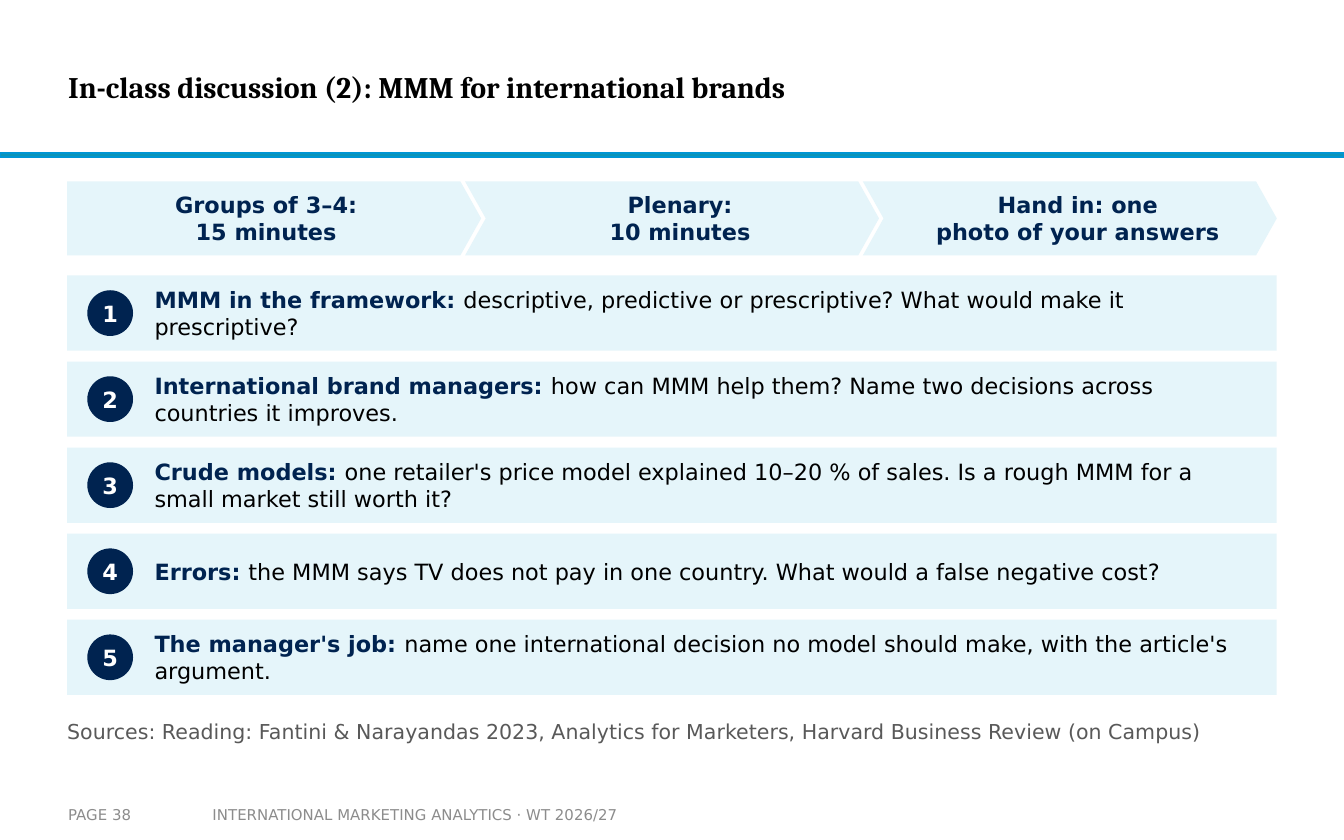
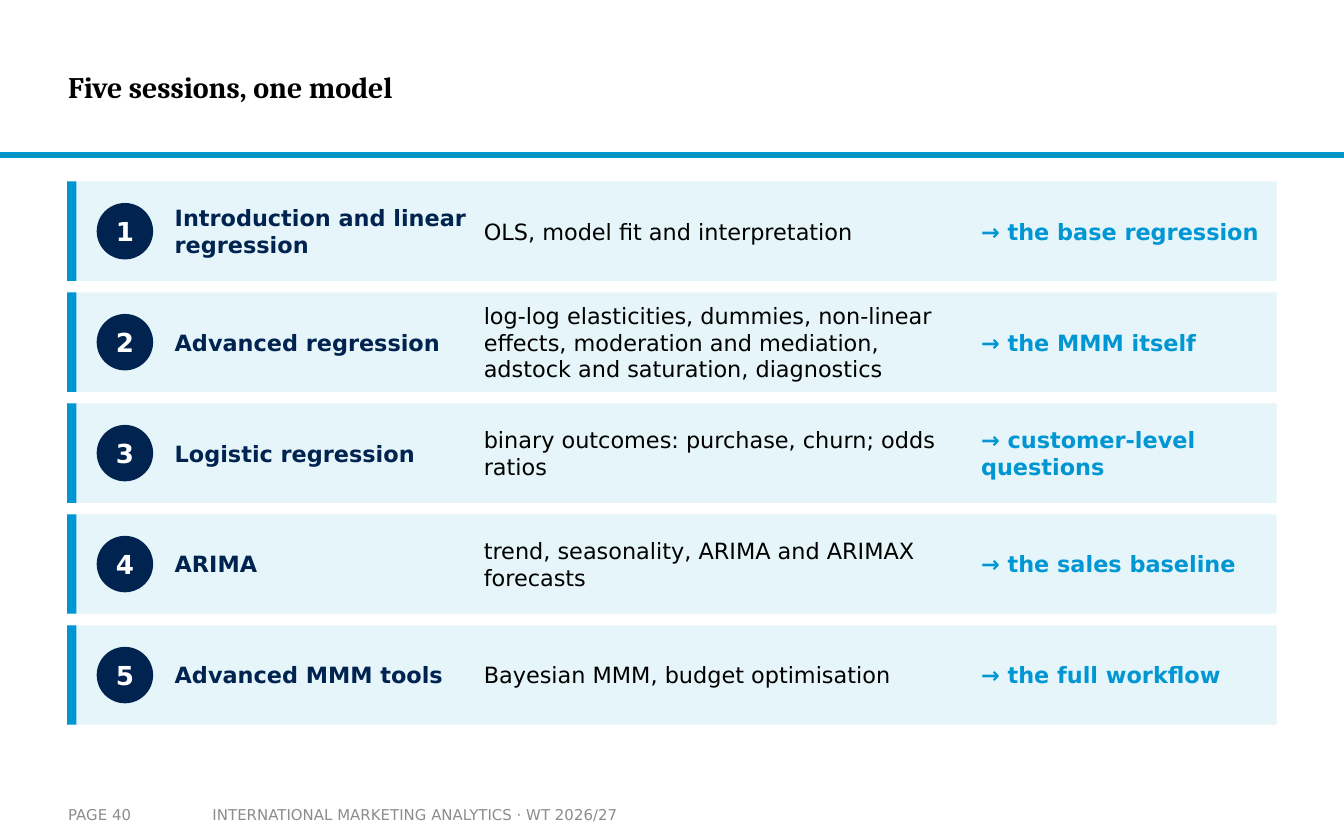
from pptx import Presentation
from pptx.dml.color import RGBColor
from pptx.enum.shapes import MSO_SHAPE
from pptx.enum.text import MSO_ANCHOR, PP_ALIGN
from pptx.util import Pt

RECT, OVAL = MSO_SHAPE.RECTANGLE, MSO_SHAPE.OVAL
PENTAGON, CHEVRON = MSO_SHAPE.PENTAGON, MSO_SHAPE.CHEVRON
LEFT, CENTER = PP_ALIGN.LEFT, PP_ALIGN.CENTER
MIDDLE = MSO_ANCHOR.MIDDLE

COLORS = {
    "navy": "002350",
    "blue": "0096D3",
    "rule": "0C94B7",
    "pale": "E5F5FA",
    "black": "000000",
    "white": "FFFFFF",
    "source": "595959",
    "footer": "8C8C8C",
}
HEAD_FONT, BODY_FONT = "Cambria", "DejaVu Sans"
COURSE = "INTERNATIONAL MARKETING ANALYTICS · WT 2026/27"

DISCUSSION = {
    "title": "In-class discussion (2): MMM for international brands",
    "page": 38,
    "steps": [
        "Groups of 3–4:\n15 minutes",
        "Plenary:\n10 minutes",
        "Hand in: one\nphoto of your answers",
    ],
    "questions": [
        ("MMM in the framework: ",
         "descriptive, predictive or prescriptive? What would make it prescriptive?"),
        ("International brand managers: ",
         "how can MMM help them? Name two decisions across countries it improves."),
        ("Crude models: ",
         "one retailer's price model explained 10–20 % of sales. "
         "Is a rough MMM for a small market still worth it?"),
        ("Errors: ",
         "the MMM says TV does not pay in one country. What would a false negative cost?"),
        ("The manager's job: ",
         "name one international decision no model should make, with the article's argument."),
    ],
    "sources": "Sources: Reading: Fantini & Narayandas 2023, Analytics for Marketers, "
               "Harvard Business Review (on Campus)",
}
SESSIONS = {
    "title": "Five sessions, one model",
    "page": 40,
    "rows": [
        ("Introduction and linear regression", "OLS, model fit and interpretation",
         "→ the base regression"),
        ("Advanced regression",
         "log-log elasticities, dummies, non-linear effects, moderation and mediation, "
         "adstock and saturation, diagnostics",
         "→ the MMM itself"),
        ("Logistic regression", "binary outcomes: purchase, churn; odds ratios",
         "→ customer-level questions"),
        ("ARIMA", "trend, seasonality, ARIMA and ARIMAX forecasts", "→ the sales baseline"),
        ("Advanced MMM tools", "Bayesian MMM, budget optimisation", "→ the full workflow"),
    ],
}

SLIDE_W, SLIDE_H = 720, 450
MARGIN = 36
BODY_W = SLIDE_W - 2 * MARGIN
BODY_TOP = 97.2
HEAD_X = 36.5
FOOTER_Y, FOOTER_H = 426.25, 20

STEP_W, STEP_H, STEP_ADJ = 221.75, 39.6, 0.28
QUESTION_TOP, QUESTION_H, QUESTION_PITCH = 147.6, 40.3, 46.1
SESSION_H, SESSION_PITCH = 53.3, 59.45
SESSION_COLUMNS = [  # left, width, colour, bold
    (93.6, 162, "navy", True),
    (259.2, 259.2, "black", False),
    (525.6, 151.2, "blue", True),
]


def rgb(name):
    return RGBColor.from_string(COLORS[name])


def write(sp, text, size=12, color="black", bold=False, font=BODY_FONT,
          align=LEFT, insets=(0, 0, 0, 0), after=0):
    """Fill a shape with one paragraph; text is a string or (text, color, bold) runs."""
    tf = sp.text_frame
    tf.word_wrap = True
    tf.vertical_anchor = MIDDLE
    tf.margin_left, tf.margin_top, tf.margin_right, tf.margin_bottom = map(Pt, insets)
    p = tf.paragraphs[0]
    p.alignment = align
    p.space_after = Pt(after)
    runs = [(text, color, bold)] if isinstance(text, str) else text
    for content, run_color, run_bold in runs:
        for i, line in enumerate(content.split("\n")):
            if i:
                p.add_line_break()
            r = p.add_run()
            r.text = line
            r.font.name = font
            r.font.size = Pt(size)
            r.font.bold = run_bold
            r.font.color.rgb = rgb(run_color)


def add_text(slide, x, y, w, h, text, **fmt):
    write(slide.shapes.add_textbox(Pt(x), Pt(y), Pt(w), Pt(h)), text, **fmt)


def add_block(slide, kind, x, y, w, h, fill):
    sp = slide.shapes.add_shape(kind, Pt(x), Pt(y), Pt(w), Pt(h))
    sp.shadow.inherit = False
    sp.fill.solid()
    sp.fill.fore_color.rgb = rgb(fill)
    sp.line.fill.background()
    return sp


def add_badge(slide, number, x, row_y, row_h, d, size):
    """Numbered disc, centred vertically in its row."""
    sp = add_block(slide, OVAL, x, row_y + (row_h - d) / 2, d, d, "navy")
    write(sp, str(number), size=size, color="white", bold=True, align=CENTER)


def add_base_slide(prs, content):
    """Blank slide with the shared rule, title and footer."""
    slide = prs.slides.add_slide(prs.slide_layouts[6])
    rule = add_block(slide, RECT, 0, 82, SLIDE_W, 2, "rule")
    rule.line.color.rgb = rgb("blue")
    rule.line.width = Pt(1)
    add_text(slide, HEAD_X, 11, 538.5, 71, content["title"],
             size=16, bold=True, font=HEAD_FONT)
    add_text(slide, 106.75, FOOTER_Y, 253.5, FOOTER_H, COURSE,
             size=8, color="footer", insets=(7.2, 3.6, 7.2, 3.6))
    add_text(slide, HEAD_X, FOOTER_Y, 70.25, FOOTER_H, f"PAGE {content['page']}",
             size=8, color="footer", insets=(0, 3.6, 0, 3.6))
    return slide


def build_discussion(prs):
    slide = add_base_slide(prs, DISCUSSION)
    steps = DISCUSSION["steps"]
    step_pitch = (BODY_W - STEP_W) / (len(steps) - 1)
    for i, step in enumerate(steps):
        kind, inset_left = (CHEVRON, 18.7) if i else (PENTAGON, 7.2)
        sp = add_block(slide, kind, MARGIN + i * step_pitch, BODY_TOP,
                       STEP_W, STEP_H, "pale")
        sp.adjustments[0] = STEP_ADJ
        write(sp, step, color="navy", bold=True, align=CENTER,
              insets=(inset_left, 1.4, 10.1, 1.4))

    for i, (topic, question) in enumerate(DISCUSSION["questions"]):
        y = QUESTION_TOP + i * QUESTION_PITCH
        add_block(slide, RECT, MARGIN, y, BODY_W, QUESTION_H, "pale")
        add_badge(slide, i + 1, 46.8, y, QUESTION_H, d=24.5, size=12)
        add_text(slide, 82.8, y, 590.4, QUESTION_H,
                 [(topic, "navy", True), (question, "black", False)], after=4)

    add_text(slide, MARGIN, 381.6, BODY_W, 20.2, DISCUSSION["sources"],
             size=11, color="source", after=4)


def build_sessions(prs):
    slide = add_base_slide(prs, SESSIONS)
    for i, row in enumerate(SESSIONS["rows"]):
        y = BODY_TOP + i * SESSION_PITCH
        add_block(slide, RECT, MARGIN, y, BODY_W, SESSION_H, "pale")
        add_block(slide, RECT, MARGIN, y, 5, SESSION_H, "blue")
        add_badge(slide, i + 1, 51.8, y, SESSION_H, d=30.25, size=14)
        for text, (x, w, color, bold) in zip(row, SESSION_COLUMNS):
            add_text(slide, x, y, w, SESSION_H, text, color=color, bold=bold, after=4)


def main():
    prs = Presentation()
    prs.slide_width, prs.slide_height = Pt(SLIDE_W), Pt(SLIDE_H)
    build_discussion(prs)
    build_sessions(prs)
    prs.save("out.pptx")


if __name__ == "__main__":
    main()
